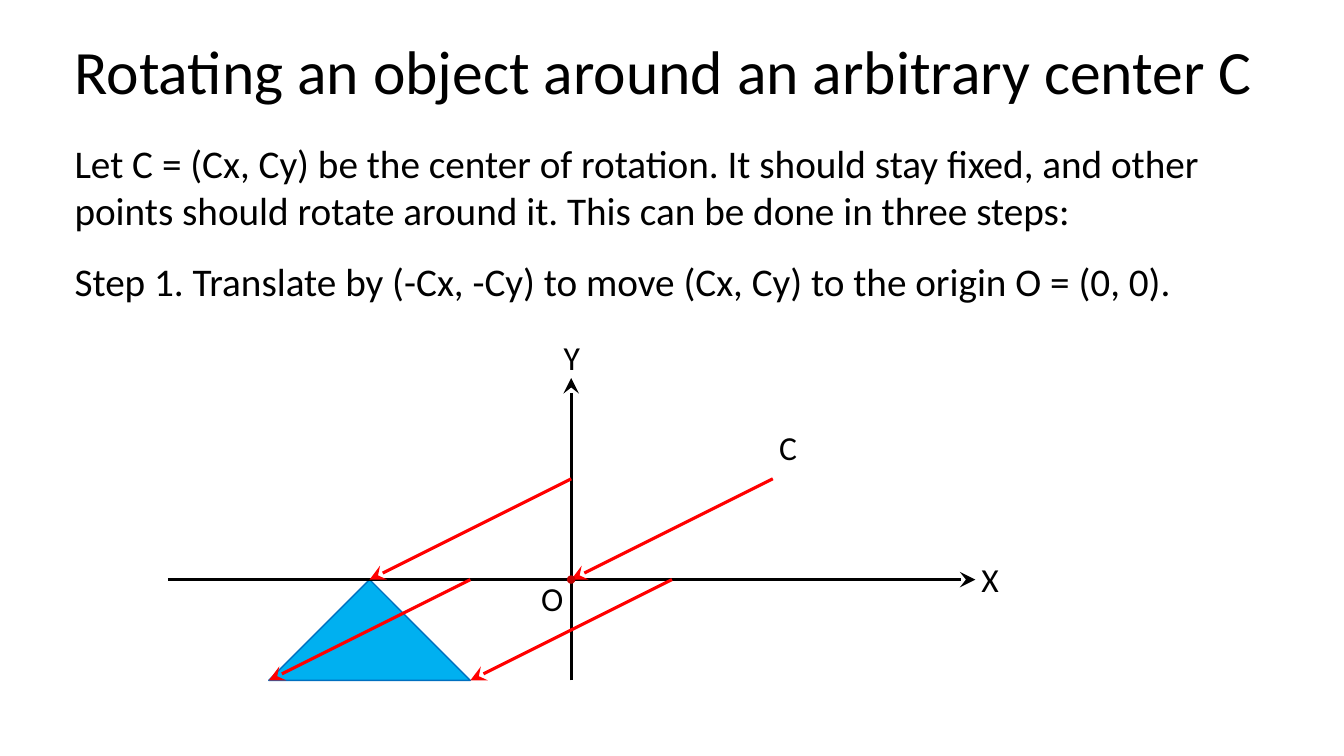
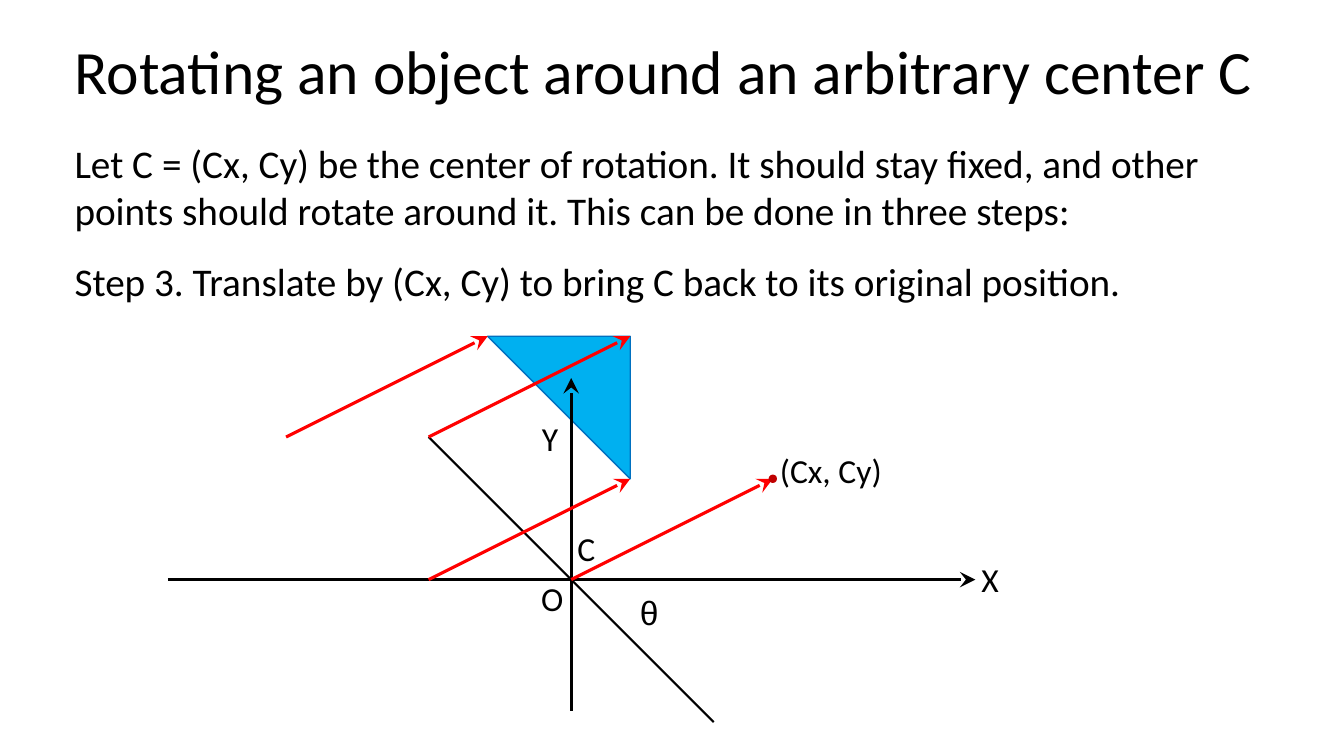
from math import cos, radians, sin

from lxml.etree import SubElement
from pptx import Presentation
from pptx.dml.color import RGBColor
from pptx.enum.shapes import MSO_CONNECTOR as Connector, MSO_SHAPE as Shape
from pptx.enum.text import MSO_ANCHOR as Anchor, MSO_AUTO_SIZE as AutoSize, PP_ALIGN as Align
from pptx.oxml.ns import qn
from pptx.util import Pt

# Content
TITLE = "Rotating an object around an arbitrary center C"
INTRO = ("Let C = (Cx, Cy) be the center of rotation. It should stay fixed, and other "
         "points should rotate around it. This can be done in three steps:")
SHARED_LABELS = [("X", 694, 396), ("O", 379.4, 409.3)]
STEPS = [
    {"text": "Step 1. Translate by (-Cx, -Cy) to move (Cx, Cy) to the origin O = (0, 0).",
     "labels": [("Y", 395.5, 237), ("C", 549.4, 301.3)],
     "angle": 0, "direction": -1, "axis_bottom": -1},
    # Y stands beside its axis here, clear of the triangle and the arrows
    {"text": "Step 3. Translate by (Cx, Cy) to bring C back to its original position.",
     "labels": [("Y", 380, 295), ("C", 405.4, 373.7), ("θ", 450, 419),
                ("(Cx, Cy)", 550, 318.2)],
     "angle": 45, "direction": 1, "axis_bottom": -1.3},
]

# Shared style
COLORS = {"text": "000000", "motion": "FF0000", "triangle": "00B0F0",
          "edge": "0070C0", "center": "C00000"}
FONT, GREEK_FONT = "Calibri", "Arial"

# Geometry: the plane has its origin O and unit in points, with y upwards
ORIGIN_X, ORIGIN_Y, UNIT = 408, 414, 72
CENTER = (2, 1)
CORNERS = [(0, 1), (-1, 0), (1, 0)]
MIDDLE = (0, 0.5)
DOT = 6


def color(name):
    return RGBColor.from_string(COLORS[name])


def to_slide(point):
    return ORIGIN_X + UNIT * point[0], ORIGIN_Y - UNIT * point[1]


def shift(point, direction):
    return tuple(p + direction * c for p, c in zip(point, CENTER))


def turn(point, degrees):
    """Rotate a point clockwise around O."""
    x, y = point
    c, s = cos(radians(degrees)), sin(radians(degrees))
    return x * c + y * s, y * c - x * s


def style_font(paragraph, size, name=FONT):
    paragraph.font.name = name
    paragraph.font.size = Pt(size)
    paragraph.font.color.rgb = color("text")


def add_text(slide, box, texts, size, name=FONT, space_after=0):
    frame = slide.shapes.add_textbox(*map(Pt, box)).text_frame
    frame.word_wrap = True
    for index, text in enumerate(texts):
        paragraph = frame.add_paragraph() if index else frame.paragraphs[0]
        paragraph.text = text
        paragraph.space_after = Pt(space_after)
        style_font(paragraph, size, name)


def add_line(slide, start, end, name="text", width=2.25, arrow=True):
    ends = (*to_slide(start), *to_slide(end))
    line = slide.shapes.add_connector(Connector.STRAIGHT, *map(Pt, ends))
    line.line.color.rgb = color(name)
    line.line.width = Pt(width)
    if arrow:
        SubElement(line.line._get_or_add_ln(), qn("a:tailEnd"),
                   type="stealth", w="lg", len="lg")
    SubElement(line._element.spPr, qn("a:effectLst"))


def add_figure(slide, kind, middle, width, height, fill, edge=None):
    """Add a filled shape around a point of the plane."""
    x, y = to_slide(middle)
    box = (x - width / 2, y - height / 2, width, height)
    shape = slide.shapes.add_shape(kind, *map(Pt, box))
    shape.shadow.inherit = False
    shape.fill.solid()
    shape.fill.fore_color.rgb = color(fill)
    if edge:
        shape.line.color.rgb = color(edge)
        shape.line.width = Pt(1)
    else:
        shape.line.fill.background()
    return shape


def add_title(slide):
    title = slide.shapes.title
    title.left, title.top, title.width, title.height = map(Pt, (46, 10.4, 870.5, 85.7))
    frame = title.text_frame
    frame.text = TITLE
    frame.auto_size = AutoSize.NONE
    frame.vertical_anchor = Anchor.MIDDLE
    paragraph = frame.paragraphs[0]
    paragraph.alignment = Align.LEFT
    paragraph.line_spacing = 0.9
    style_font(paragraph, 44)


def add_diagram(slide, step):
    angle, direction = step["angle"], step["direction"]

    def before(point):
        """Place a point of the object where this step finds it."""
        return point if direction < 0 else turn(shift(point, -1), angle)

    # Moved triangle, behind the axes
    triangle = add_figure(slide, Shape.ISOSCELES_TRIANGLE, shift(before(MIDDLE), direction),
                          2 * UNIT, UNIT, "triangle", "edge")
    triangle.rotation = angle

    # Axes and the turned axis
    add_line(slide, (-4, 0), (4.01, 0))
    add_line(slide, (0, step["axis_bottom"]), (0, 2))
    if angle:
        add_line(slide, turn((-2, 0), angle), turn((2, 0), angle), width=1.5, arrow=False)

    # Translation of the corners and of C
    for point in CORNERS + [CENTER]:
        start = before(point)
        add_line(slide, start, shift(start, direction), "motion")
    add_figure(slide, Shape.OVAL, shift(before(CENTER), direction), DOT, DOT, "center")

    # Labels
    for text, left, top in SHARED_LABELS + step["labels"]:
        width = 88.6 if len(text) > 1 else 72
        add_text(slide, (left, top, width, 36), [text], 24,
                 GREEK_FONT if text == "θ" else FONT)


def main():
    presentation = Presentation()
    presentation.slide_width, presentation.slide_height = Pt(960), Pt(540)
    for step in STEPS:
        slide = presentation.slides.add_slide(presentation.slide_layouts[5])
        add_title(slide)
        add_text(slide, (46.2, 95.8, 828, 407.5), [INTRO, step["text"]], 28, space_after=17)
        add_diagram(slide, step)
    presentation.save("out.pptx")


if __name__ == "__main__":
    main()
